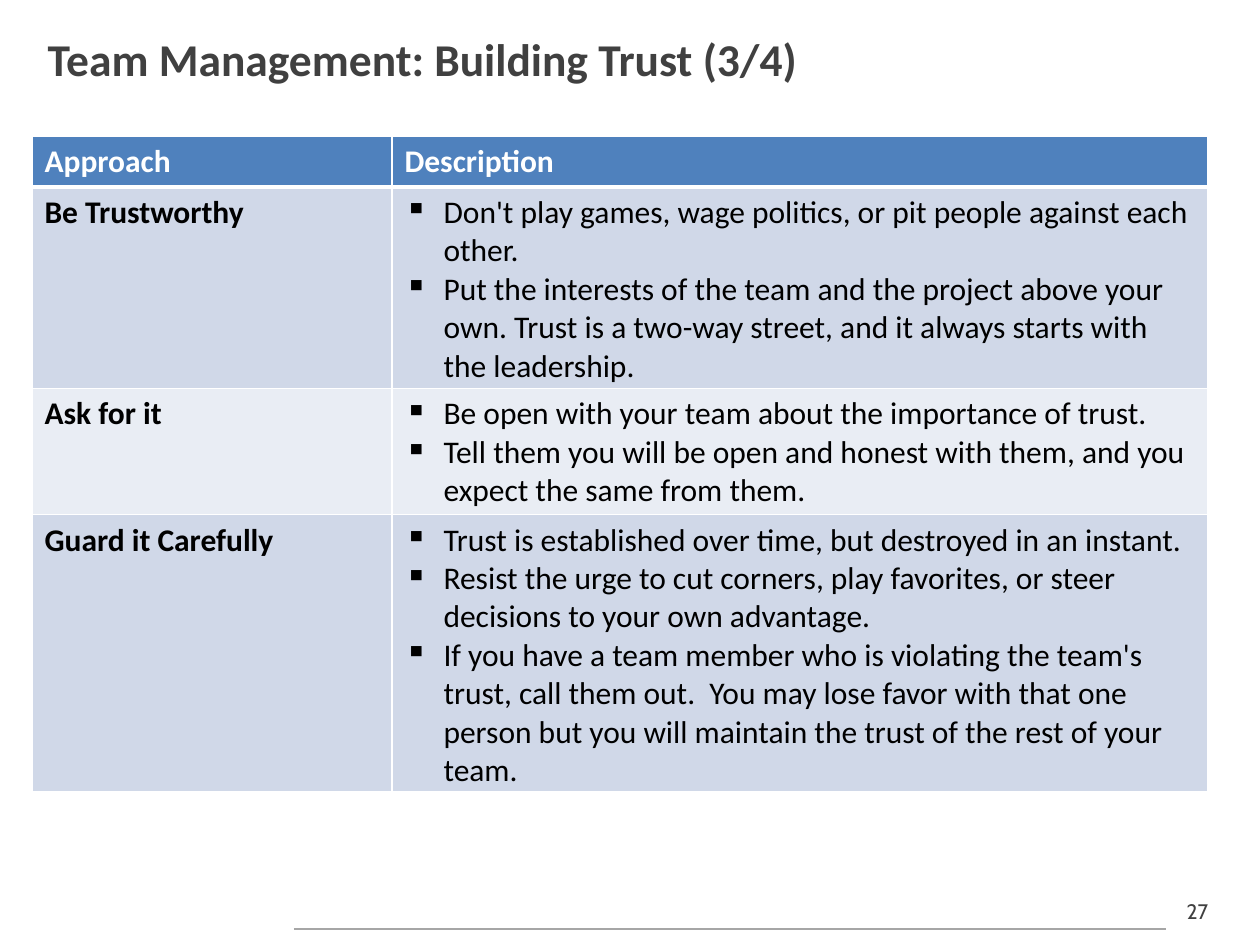
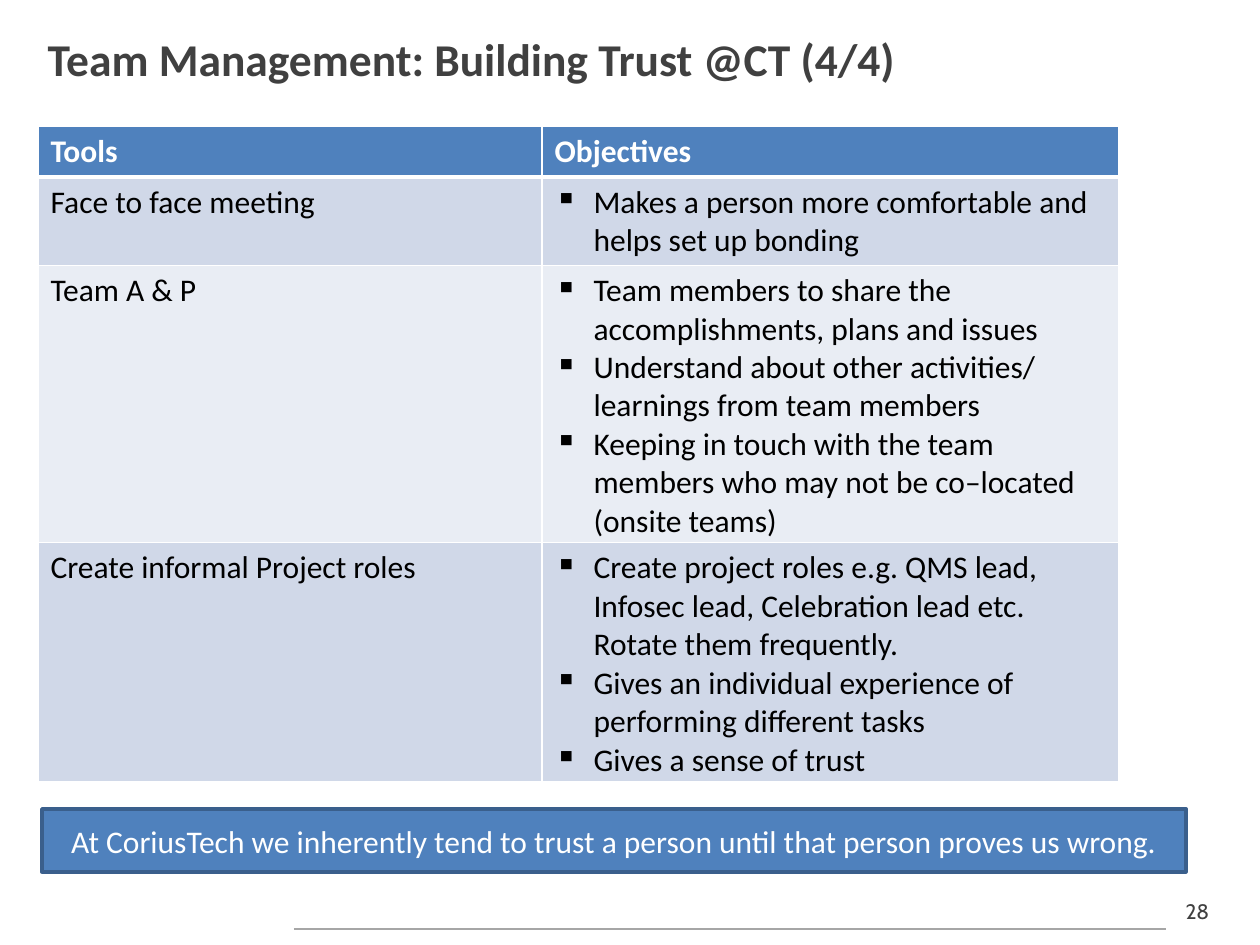
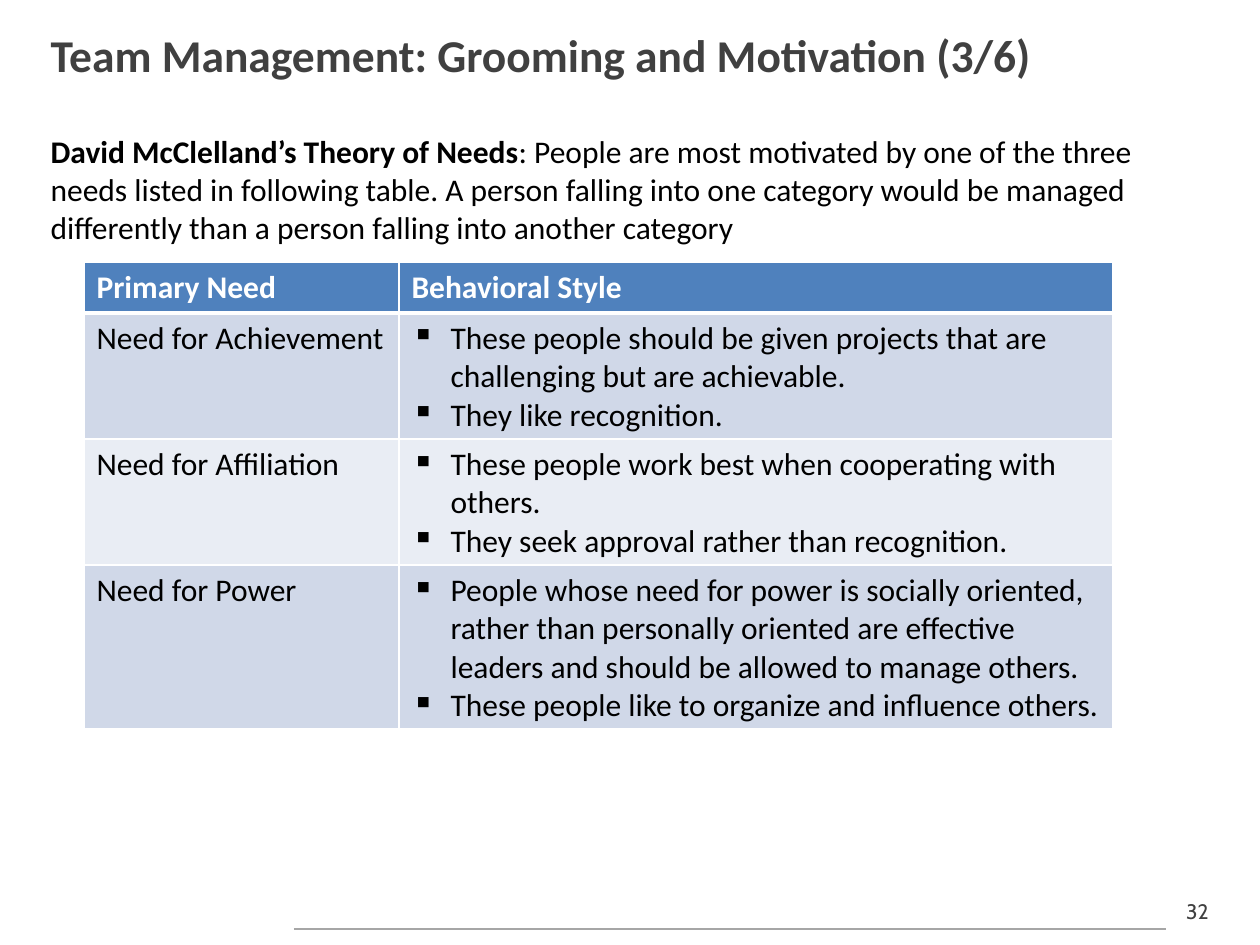
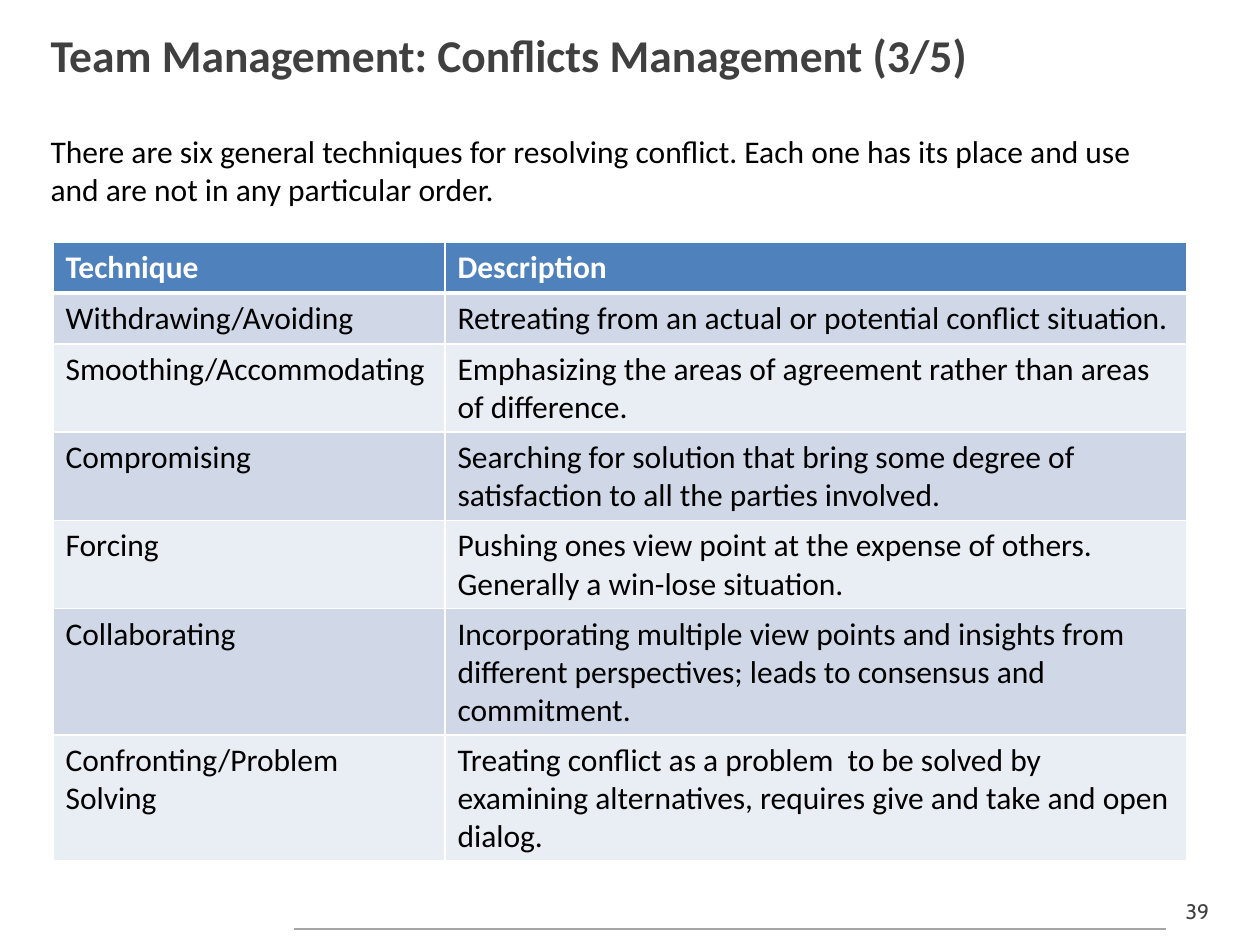
from dataclasses import dataclass
from typing import NamedTuple

from lxml.etree import SubElement
from pptx import Presentation
from pptx.dml.color import RGBColor
from pptx.enum.shapes import MSO_CONNECTOR as Connector, MSO_SHAPE as Shape
from pptx.enum.text import MSO_ANCHOR as Anchor, MSO_AUTO_SIZE as AutoSize, PP_ALIGN as Align
from pptx.oxml.ns import qn
from pptx.util import Emu, Pt

EMU_PER_PX = 914400 / 126


@dataclass(frozen=True)
class Theme:
    font: str = "Calibri"
    number_font: str = "Cabin"
    title_size: int = 26
    text_size: int = 18
    number_size: int = 12
    dark: str = "404040"
    text: str = "000000"
    white: str = "FFFFFF"
    rule: str = "A6A6A6"
    accent: str = "4F81BD"
    accent_edge: str = "3A5F8C"
    bands: tuple = ("D0D8E8", "E9EDF4")


class Box(NamedTuple):
    left: int
    top: int
    width: int
    height: int

    def emu(self):
        return [px(length) for length in self]


THEME = Theme()
PAGE = Box(0, 0, 1260, 945)
TITLE_HIGH = Box(38, 15, 1179, 79)
TITLE_LOW = Box(35, 19, 1179, 79)
INTRO = Box(38, 126, 1113, 735)
BANNER = Box(42, 809, 1144, 63)
FOOTER = Box(294, 892, 935, 38)
NUMBER_WIDTH = 63
ROW_HEIGHT = 51
BULLET_INDENT = 39
TITLE_ONLY, TITLE_AND_BODY = 5, 1


def px(length):
    return Emu(round(length * EMU_PER_PX))


def rgb(color):
    return RGBColor.from_string(color)


def set_all(target, values):
    for name, value in values.items():
        setattr(target, name, value)


def write(para, text, color=THEME.text, size=THEME.text_size, bold=False, font=THEME.font):
    span = para.add_run()
    span.text = text
    set_all(span.font, {"name": font, "size": Pt(size), "bold": bold})
    span.font.color.rgb = rgb(color)


def set_indent(para, indent, tag, **values):
    """Hang the paragraph by indent px and give it the bullet element."""
    props = para._p.get_or_add_pPr()
    props.set("marL", str(px(indent)))
    props.set("indent", str(-px(indent)))
    SubElement(props, qn(tag), **values)


def move(shape, box):
    set_all(shape, dict(zip(("left", "top", "width", "height"), box.emu())))


# Title and introduction placeholders

def add_title(page, box, text):
    title = page.shapes.title
    move(title, box)
    set_all(title.text_frame, {"vertical_anchor": Anchor.MIDDLE, "auto_size": AutoSize.NONE})
    para = title.text_frame.paragraphs[0]
    para.alignment = Align.LEFT
    write(para, text, THEME.dark, THEME.title_size, True)


def add_intro(page, box, spans):
    body = page.placeholders[1]
    move(body, box)
    body.text_frame.auto_size = AutoSize.NONE
    para = body.text_frame.paragraphs[0]
    para.space_before = Pt(12)
    set_indent(para, 0, "a:buNone")
    for text, bold in spans:
        write(para, text, bold=bold)


# Footer: rule along the bottom, page number at its right end

def add_footer(page, box, number):
    number_left = box.left + box.width - NUMBER_WIDTH
    rule_top = px(box.top + box.height - 1)
    rule = page.shapes.add_connector(
        Connector.STRAIGHT, px(box.left), rule_top, px(number_left), rule_top)
    rule.line.color.rgb = rgb(THEME.rule)
    rule.line.width = Pt(0.75)
    SubElement(rule._element.spPr, qn("a:effectLst"))

    label = page.shapes.add_textbox(
        *Box(number_left, box.top, NUMBER_WIDTH, box.height).emu())
    label.text_frame.word_wrap = True
    para = label.text_frame.paragraphs[0]
    para.alignment = Align.CENTER
    write(para, str(number), THEME.dark, THEME.number_size, font=THEME.number_font)


# Banded two-column table

def add_borders(cell, row):
    widths = {"lnL": 1, "lnR": 1, "lnT": 1, "lnB": 3 if row == 0 else 1}
    if row == 1:
        del widths["lnT"]  # the thick edge of the header serves here
    props = cell._tc.get_or_add_tcPr()
    for side, width in widths.items():
        edge = SubElement(props, qn(f"a:{side}"), w=str(Pt(width)))
        fill = SubElement(edge, qn("a:solidFill"))
        SubElement(fill, qn("a:srgbClr"), val=THEME.white)


def fill_cell(cell, content, row, bold):
    add_borders(cell, row)
    cell.fill.solid()
    band = THEME.accent if row == 0 else THEME.bands[(row - 1) % 2]
    cell.fill.fore_color.rgb = rgb(band)
    color = THEME.white if row == 0 else THEME.text
    bulleted = isinstance(content, list)
    frame = cell.text_frame
    for index, text in enumerate(content if bulleted else [content]):
        para = frame.add_paragraph() if index else frame.paragraphs[0]
        if bulleted:
            set_indent(para, BULLET_INDENT, "a:buChar", char="▪")
        write(para, text, color, bold=bold)


def add_table(page, box, first_width, rows, bold_labels=False):
    holder = page.shapes.add_table(len(rows), 2, *box.emu())
    table = holder.table
    for column, width in zip(table.columns, (first_width, box.width - first_width)):
        column.width = px(width)
    for row, contents in enumerate(rows):
        table.rows[row].height = px(ROW_HEIGHT)
        for column, content in enumerate(contents):
            bold = row == 0 or (bold_labels and column == 0)
            fill_cell(table.cell(row, column), content, row, bold)
    holder.height = px(box.height)


# Statement banner

def add_banner(page, box, text):
    banner = page.shapes.add_shape(Shape.RECTANGLE, *box.emu())
    banner.shadow.inherit = False
    banner.fill.solid()
    banner.fill.fore_color.rgb = rgb(THEME.accent)
    banner.line.color.rgb = rgb(THEME.accent_edge)
    banner.line.width = Pt(2)
    set_all(banner.text_frame, {"word_wrap": True, "vertical_anchor": Anchor.MIDDLE})
    para = banner.text_frame.paragraphs[0]
    para.alignment = Align.CENTER
    write(para, text, THEME.white)


# Slide types

def add_page(deck, layout, number, title_box, title):
    page = deck.slides.add_slide(deck.slide_layouts[layout])
    add_footer(page, FOOTER, number)
    add_title(page, title_box, title)
    return page


def add_table_page(deck, number, title):
    return add_page(deck, TITLE_ONLY, number, TITLE_LOW, title)


def add_intro_page(deck, number, title, spans):
    page = add_page(deck, TITLE_AND_BODY, number, TITLE_HIGH, title)
    add_intro(page, INTRO, spans)
    return page


TRUST_APPROACHES = [
    ("Approach", "Description"),
    ("Be Trustworthy", [
        "Don't play games, wage politics, or pit people against each other.",
        "Put the interests of the team and the project above your own. "
        "Trust is a two-way street, and it always starts with the leadership."]),
    ("Ask for it", [
        "Be open with your team about the importance of trust.",
        "Tell them you will be open and honest with them, and you expect the same from them."]),
    ("Guard it Carefully", [
        "Trust is established over time, but destroyed in an instant.",
        "Resist the urge to cut corners, play favorites, or steer decisions "
        "to your own advantage.",
        "If you have a team member who is violating the team's trust, call them out.  "
        "You may lose favor with that one person but you will maintain the trust "
        "of the rest of your team."]),
]
TRUST_TOOLS = [
    ("Tools", "Objectives"),
    ("Face to face meeting", [
        "Makes a person more comfortable and helps set up bonding"]),
    ("Team A & P", [
        "Team members to share the accomplishments, plans and issues",
        "Understand about other activities/ learnings from team members",
        "Keeping in touch with the team members who may not be co–located (onsite teams)"]),
    ("Create informal Project roles", [
        "Create project roles e.g. QMS lead, Infosec lead, Celebration lead etc. "
        "Rotate them frequently.",
        "Gives an individual experience of performing different tasks",
        "Gives a sense of trust"]),
]
NEEDS = [
    ("Primary Need", "Behavioral Style"),
    ("Need for Achievement", [
        "These people should be given projects that are challenging but are achievable.",
        "They like recognition."]),
    ("Need for Affiliation", [
        "These people work best when cooperating with others.",
        "They seek approval rather than recognition."]),
    ("Need for Power", [
        "People whose need for power is socially oriented, rather than personally oriented "
        "are effective leaders and should be allowed to manage others.",
        "These people like to organize and influence others."]),
]
CONFLICT_TECHNIQUES = [
    ("Technique", "Description"),
    ("Withdrawing/Avoiding", "Retreating from an actual or potential conflict situation."),
    ("Smoothing/Accommodating",
     "Emphasizing the areas of agreement rather than areas of difference."),
    ("Compromising",
     "Searching for solution that bring some degree of satisfaction "
     "to all the parties involved."),
    ("Forcing",
     "Pushing ones view point at the expense of others. Generally a win-lose situation."),
    ("Collaborating",
     "Incorporating multiple view points and insights from different perspectives; "
     "leads to consensus and commitment."),
    ("Confronting/Problem Solving",
     "Treating conflict as a problem  to be solved by examining alternatives, "
     "requires give and take and open dialog."),
]


def main():
    deck = Presentation()
    deck.slide_width, deck.slide_height = px(PAGE.width), px(PAGE.height)

    page = add_table_page(deck, 27, "Team Management: Building Trust (3/4)")
    add_table(page, Box(32, 136, 1176, 656), 360, TRUST_APPROACHES, bold_labels=True)

    page = add_table_page(deck, 28, "Team Management: Building Trust @CT (4/4)")
    add_table(page, Box(38, 126, 1081, 656), 504, TRUST_TOOLS)
    add_banner(page, BANNER, "At CoriusTech we inherently tend to trust a person "
                             "until that person proves us wrong.")

    page = add_intro_page(deck, 32, "Team Management: Grooming and Motivation (3/6)", [
        ("David McClelland’s Theory of Needs", True),
        (": People are most motivated by one of the three needs listed in following table. "
         "A person falling into one category would be managed differently than a person "
         "falling into another category", False)])
    add_table(page, Box(84, 262, 1029, 505), 315, NEEDS)

    page = add_intro_page(deck, 39, "Team Management: Conflicts Management (3/5)", [
        ("There are six general techniques for resolving conflict. Each one has its place "
         "and use and are not in any particular order.", False)])
    add_table(page, Box(53, 242, 1134, 619), 392, CONFLICT_TECHNIQUES)

    deck.save("out.pptx")


if __name__ == "__main__":
    main()
